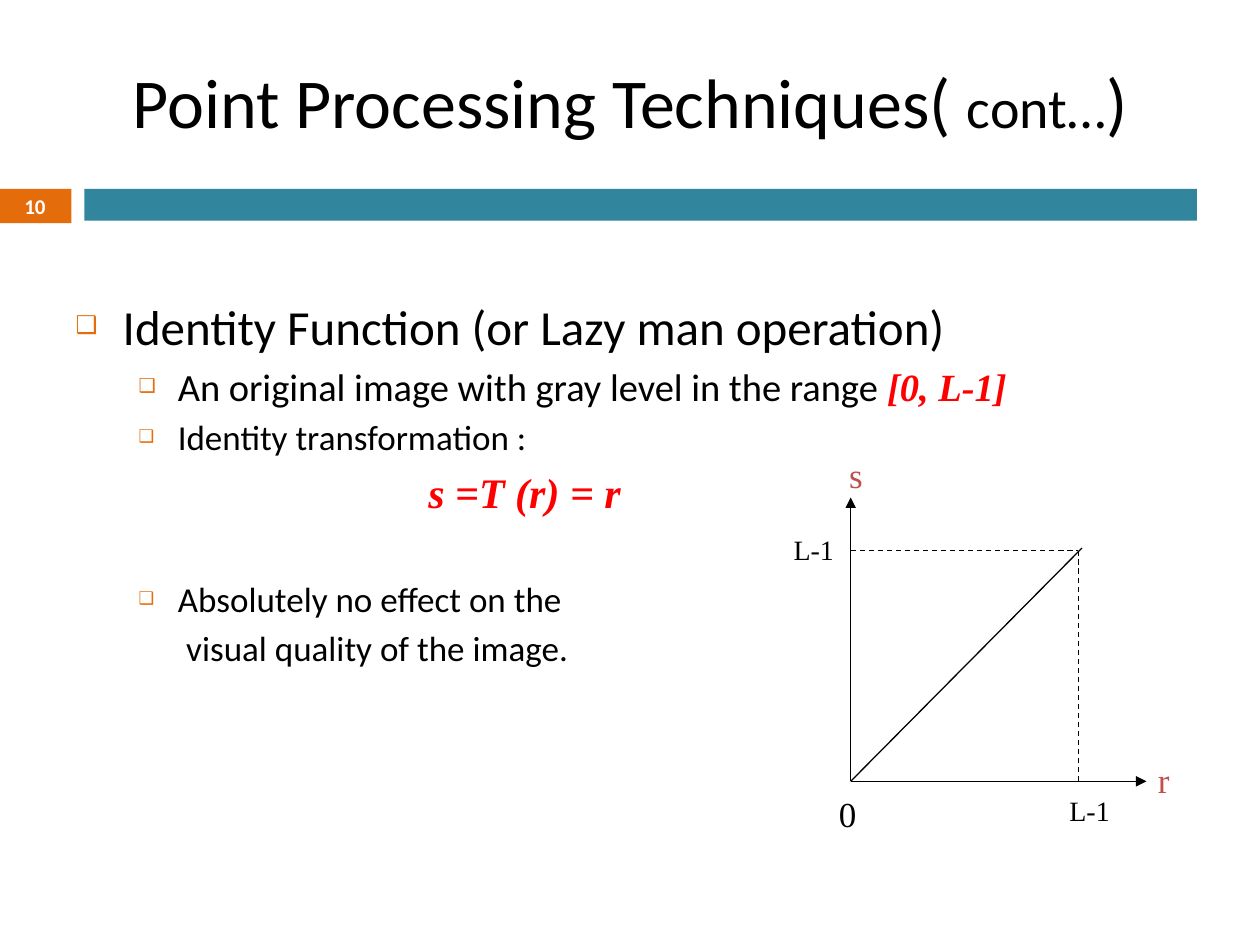
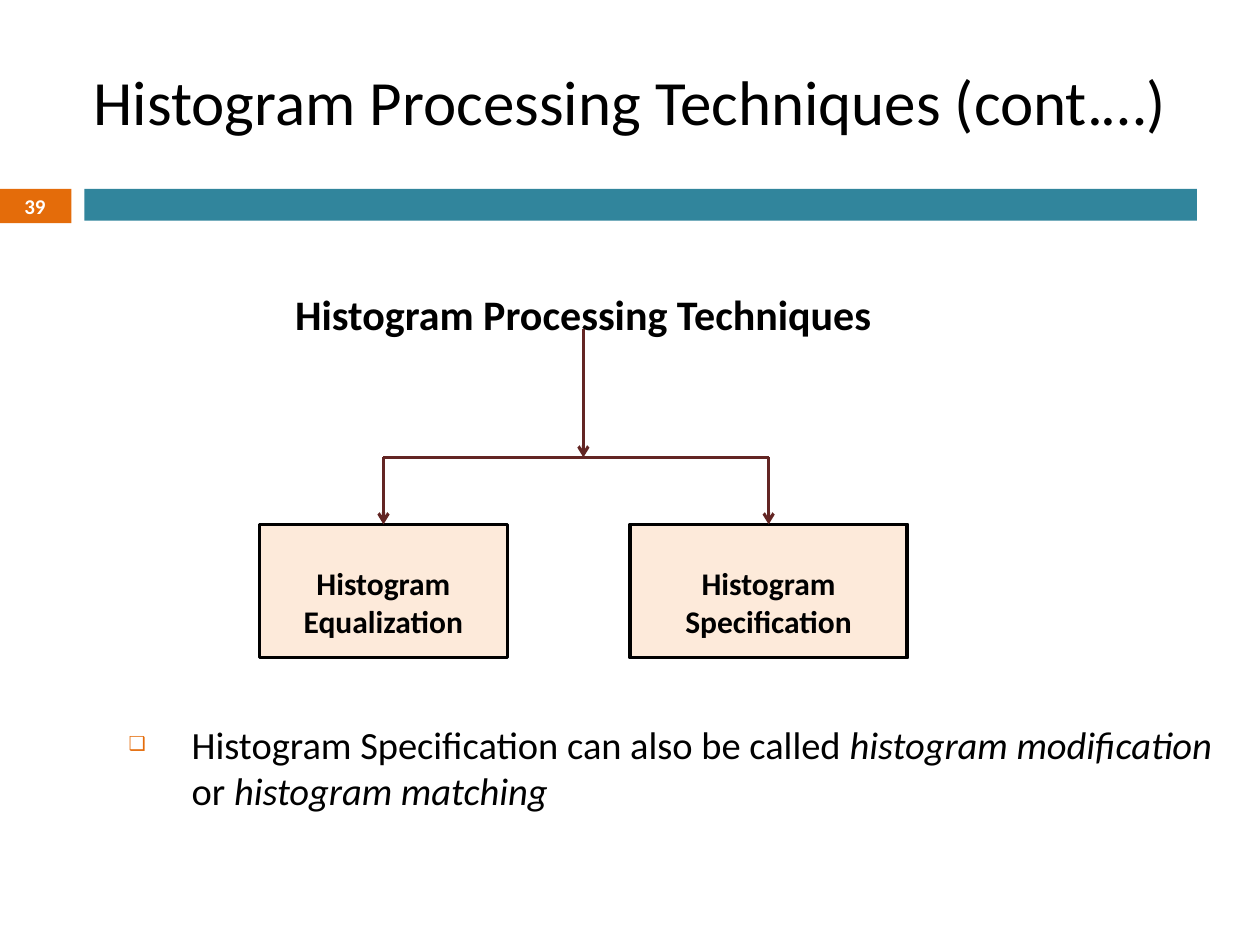
from dataclasses import dataclass

from lxml import etree
from pptx import Presentation
from pptx import util as u
from pptx.dml.color import RGBColor
from pptx.enum import dml, shapes, text
from pptx.oxml.ns import qn


@dataclass(frozen=True)
class Theme:
    sans: str = "Calibri"
    serif: str = "Times New Roman"
    black: str = "000000"
    white: str = "FFFFFF"
    orange: str = "E46C0A"
    teal: str = "31859C"
    red: str = "FF0000"
    brick: str = "C0504D"
    maroon: str = "632523"
    peach: str = "FDEADA"
    title: int = 40
    title_small: int = 32
    title_long: int = 36
    heading: int = 28
    formula: int = 24
    body: int = 22
    detail: int = 20
    box: int = 18
    tick: int = 16
    badge: int = 12


THEME = Theme()

# Run formats
ITALIC = {"italic": True}
BOLD = {"bold": True}
FORMULA = {"name": THEME.serif, "color": THEME.red, "bold": True, "italic": True}

# Content: a run is (words, size, format); lengths are in centimetres
IDENTITY = {
    "number": "10",
    "title": [("Point Processing Techniques( ", THEME.title, {}),
              ("cont…", THEME.title_small, {}),
              (")", THEME.title, {})],
    "body_frame": (1.27, 5.84, 22.86, 11.18),
    "body": [
        {"bullet": True, "left": 0.95, "hang": 0.95, "before": 0,
         "runs": [("Identity Function (or Lazy man operation)", THEME.heading, {})]},
        {"bullet": True, "left": 2.06, "hang": 0.79, "before": 4.4,
         "runs": [("An original image with gray level in the range ", THEME.body, {}),
                  ("[0, L-1]", THEME.body, FORMULA)]},
        {"bullet": True, "left": 2.06, "hang": 0.79, "before": 4,
         "runs": [("Identity transformation :", THEME.detail, {})]},
        {"bullet": False, "left": 7.11, "hang": 0, "before": 4.8,
         "runs": [("s =T (r) = r", THEME.formula, FORMULA)]},
        {"bullet": True, "left": 2.06, "hang": 0.79, "before": 35,
         "runs": [("Absolutely no effect on the", THEME.detail, {})]},
        {"bullet": False, "left": 2.23, "hang": 0, "before": 4,
         "runs": [("visual quality of the image.", THEME.detail, {})]},
    ],
}
HISTOGRAM = {
    "number": "39",
    "title": [("Histogram Processing Techniques (cont.…)", THEME.title_long, {})],
    "body_frame": (2.34, 14.4, 22.66, 2.13),
    "body": [
        {"bullet": True, "left": 1.27, "hang": 1.27, "before": 0,
         "runs": [("Histogram Specification can also be called ", THEME.body, {}),
                  ("histogram modification ", THEME.body, ITALIC),
                  ("or ", THEME.body, {}),
                  ("histogram matching", THEME.body, ITALIC)]},
    ],
}

# Graph of s = r: words, left, top, width, size, colour
GRAPH_LABELS = [
    ("L-1", 21.31, 15.88, 1.35, THEME.tick, THEME.black),
    ("0", 16.66, 15.85, 0.86, THEME.detail, THEME.black),
    ("L-1", 15.75, 10.62, 1.35, THEME.tick, THEME.black),
    ("r", 23.09, 15.16, 0.74, THEME.detail, THEME.brick),
    ("s", 16.87, 9.02, 0.79, THEME.detail, THEME.brick),
]
GRAPH = {"origin": (17.15, 15.75), "axis_end": (23.11, 10.03), "limit": (21.74, 11.1)}

# Technique tree: words, left, width
TREE_ROOT = "Histogram Processing Techniques"
TREE_BOXES = [("Histogram Equalization", 5.23, 5.0),
              ("Histogram Specification", 12.7, 5.59)]
TREE = {"root_top": 5.69, "stem_top": 6.63, "bar": 9.22, "box_top": 10.57, "box_height": 2.69}


def cm(values):
    return [u.Cm(value) for value in values]


def set_values(target, values):
    for name, value in values.items():
        setattr(target, name, value)


def add_runs(paragraph, runs):
    for words, size, extra in runs:
        values = {"name": THEME.sans, "bold": False, "italic": False, **extra}
        color = values.pop("color", THEME.black)
        run = paragraph.add_run()
        run.text = words
        set_values(run.font, {"size": u.Pt(size), **values})
        run.font.color.rgb = RGBColor.from_string(color)


def set_indent(paragraph, item):
    """Set the indent, then the bullet elements in schema order."""
    properties = paragraph._p.get_or_add_pPr()
    properties.set("marL", str(u.Cm(item["left"])))
    properties.set("indent", str(-u.Cm(item["hang"])))
    paragraph.space_before = u.Pt(item["before"])
    if not item["bullet"]:
        etree.SubElement(properties, qn("a:buNone"))
        return
    color = etree.SubElement(properties, qn("a:buClr"))
    etree.SubElement(color, qn("a:srgbClr"), val=THEME.orange)
    etree.SubElement(properties, qn("a:buSzPct"), val="50000")
    etree.SubElement(properties, qn("a:buChar"), char="❑")


def place(shape, frame):
    set_values(shape, dict(zip(("left", "top", "width", "height"), cm(frame))))


def add_rectangle(slide, frame, fill, outline=None):
    shape = slide.shapes.add_shape(shapes.MSO_SHAPE.RECTANGLE, *cm(frame))
    shape.shadow.inherit = False
    shape.fill.solid()
    shape.fill.fore_color.rgb = RGBColor.from_string(fill)
    if outline:
        shape.line.color.rgb = RGBColor.from_string(outline)
        shape.line.width = u.Pt(2)
    else:
        shape.line.fill.background()
    return shape


def add_line(slide, start, end, color=THEME.black, width=0.75, head=None, dashed=False):
    connector = slide.shapes.add_connector(
        shapes.MSO_CONNECTOR.STRAIGHT, *cm(start), *cm(end))
    connector.line.color.rgb = RGBColor.from_string(color)
    connector.line.width = u.Pt(width)
    if dashed:
        connector.line.dash_style = dml.MSO_LINE.DASH
    if head:
        etree.SubElement(connector.line._get_or_add_ln(), qn("a:tailEnd"), type=head)
    etree.SubElement(connector._element.spPr, qn("a:effectLst"))


def add_label(slide, frame, run, wrap=False, align=text.PP_ALIGN.LEFT):
    box = slide.shapes.add_textbox(*cm(frame))
    box.text_frame.word_wrap = wrap
    paragraph = box.text_frame.paragraphs[0]
    paragraph.alignment = align
    add_runs(paragraph, [run])


def add_slide(presentation, content):
    """Title, body list, number badge and band shared by all slides."""
    slide = presentation.slides.add_slide(presentation.slide_layouts[1])
    title, body = slide.placeholders
    place(title, (1.27, 0.43, 22.86, 3.18))
    set_values(title.text_frame, {"auto_size": text.MSO_AUTO_SIZE.NONE,
                                  "vertical_anchor": text.MSO_ANCHOR.MIDDLE})
    title.text_frame.paragraphs[0].alignment = text.PP_ALIGN.CENTER
    add_runs(title.text_frame.paragraphs[0], content["title"])

    place(body, content["body_frame"])
    body.text_frame.auto_size = text.MSO_AUTO_SIZE.NONE
    for index, item in enumerate(content["body"]):
        frame = body.text_frame
        paragraph = frame.add_paragraph() if index else frame.paragraphs[0]
        set_indent(paragraph, item)
        add_runs(paragraph, item["runs"])

    badge = add_rectangle(slide, (-0.03, 3.81, 1.47, 0.69), THEME.orange)
    set_values(badge.text_frame, {"margin_top": 0, "margin_bottom": 0,
                                  "vertical_anchor": text.MSO_ANCHOR.MIDDLE})
    badge.text_frame.paragraphs[0].alignment = text.PP_ALIGN.CENTER
    add_runs(badge.text_frame.paragraphs[0],
             [(content["number"], THEME.badge, {"bold": True, "color": THEME.white})])
    add_rectangle(slide, (1.7, 3.81, 22.43, 0.64), THEME.teal)
    return slide


def draw_graph(slide):
    (x0, y0), (x_end, y_end) = GRAPH["origin"], GRAPH["axis_end"]
    x_limit, y_limit = GRAPH["limit"]
    # Axes, dashed limits and the identity line
    for end in ((x_end, y0), (x0, y_end)):
        add_line(slide, (x0, y0), end, head="triangle")
    for start in ((x0, y_limit), (x_limit, y0)):
        add_line(slide, start, (x_limit, y_limit), dashed=True)
    add_line(slide, (x0, y0), (x_limit + 0.07, y_limit - 0.05))
    for words, left, top, width, size, color in GRAPH_LABELS:
        add_label(slide, (left, top, width, 1.12 if size > THEME.tick else 0.94),
                  (words, size, {"name": THEME.serif, "color": color}))


def draw_tree(slide):
    stroke = {"color": THEME.maroon, "width": 1.75}
    left = TREE_BOXES[0][1]
    right = TREE_BOXES[-1][1] + TREE_BOXES[-1][2]
    middle = (left + right) / 2
    add_label(slide, (left, TREE["root_top"], right - left, 0.97),
              (TREE_ROOT, THEME.formula, BOLD), True, text.PP_ALIGN.CENTER)

    # Boxes with their names
    centers = []
    for words, box_left, width in TREE_BOXES:
        box = add_rectangle(slide, (box_left, TREE["box_top"], width, TREE["box_height"]),
                            THEME.peach, THEME.black)
        set_values(box.text_frame, {"word_wrap": True, "margin_top": u.Cm(0.81),
                                    "vertical_anchor": text.MSO_ANCHOR.TOP})
        box.text_frame.paragraphs[0].alignment = text.PP_ALIGN.CENTER
        add_runs(box.text_frame.paragraphs[0], [(words, THEME.box, BOLD)])
        centers.append(box_left + width / 2)

    # Stem, bar and branches
    bar = TREE["bar"]
    add_line(slide, (centers[0], bar), (centers[-1], bar), **stroke)
    add_line(slide, (middle, TREE["stem_top"]), (middle, bar), head="arrow", **stroke)
    for center in centers:
        add_line(slide, (center, bar), (center, TREE["box_top"]), head="arrow", **stroke)


def main():
    presentation = Presentation()
    set_values(presentation, {"slide_width": u.Cm(25.4), "slide_height": u.Cm(19.05)})
    draw_graph(add_slide(presentation, IDENTITY))
    draw_tree(add_slide(presentation, HISTOGRAM))
    presentation.save("out.pptx")


if __name__ == "__main__":
    main()
